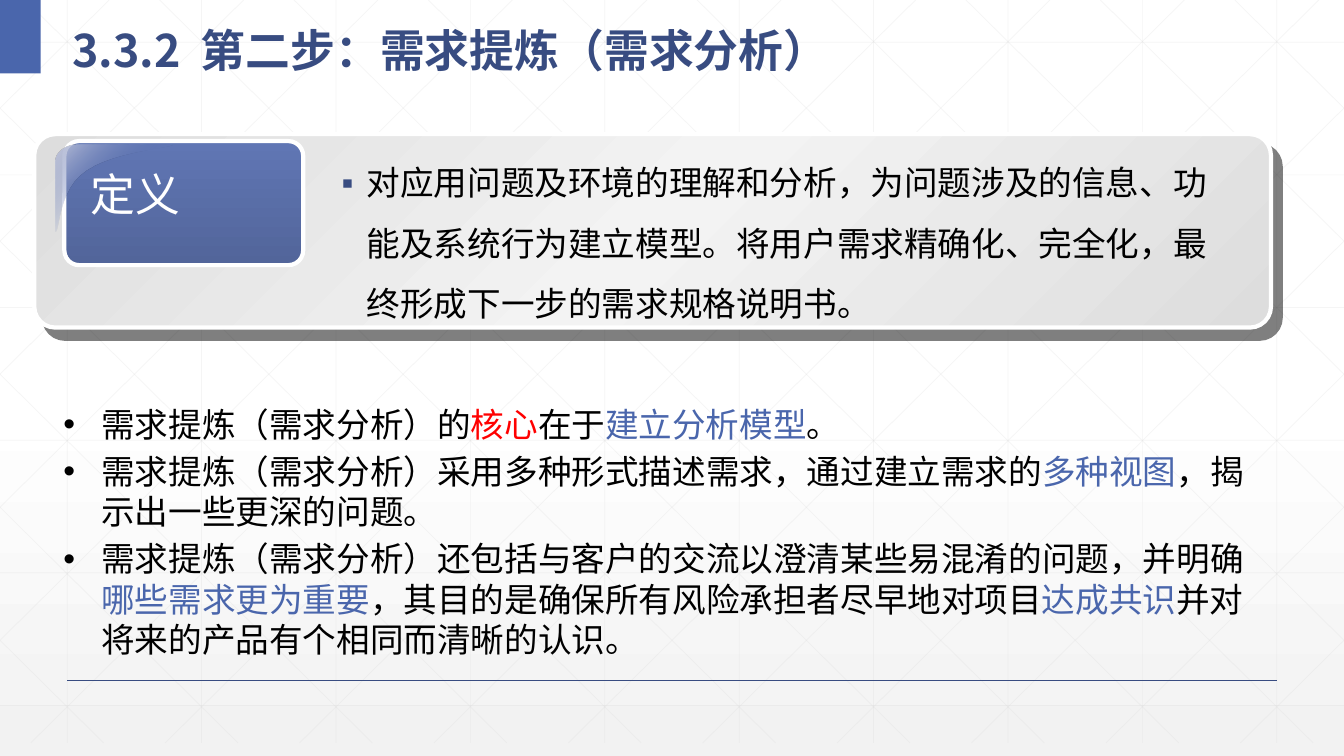
from dataclasses import dataclass

from lxml.etree import SubElement
from pptx import Presentation
from pptx.dml.color import RGBColor
from pptx.enum.shapes import MSO_CONNECTOR, MSO_SHAPE
from pptx.enum.text import MSO_ANCHOR
from pptx.oxml.ns import qn
from pptx.util import Pt


@dataclass(frozen=True)
class Theme:
    font: str = "Noto Sans CJK SC"
    label_font: str = "Arial"
    navy: str = "384C81"
    blue: str = "4A66AC"
    red: str = "FF0000"
    black: str = "000000"
    white: str = "FFFFFF"
    grid: str = "D9D9D9"
    page: tuple = ((0, "FFFFFF", 100), (53, "FFFFFF", 100), (100, "F2F2F2", 65))
    panel: tuple = ((0, "DDDDDD", 100), (50, "F3F3F3", 100), (100, "DDDDDD", 100))
    badge: tuple = ((0, "6076B4", 100), (100, "52659A", 100))
    gloss: tuple = ((0, "BFC4DA", 100), (50, "6076B4", 0), (100, "BFC4DA", 100))
    heading_size: int = 32
    body_size: int = 24


WIDTH, HEIGHT = 960, 540


def add_color(parent, color, alpha):
    node = SubElement(parent, qn("a:srgbClr"), val=color)
    SubElement(node, qn("a:alpha"), val=str(alpha * 1000))


def add_shadow(parent, distance, angle, alpha):
    effects = parent.find(qn("a:effectLst"))
    if effects is None:
        effects = SubElement(parent, qn("a:effectLst"))
    shadow = SubElement(effects, qn("a:outerShdw"), blurRad="0", dist=str(Pt(distance)),
                        dir=str(angle * 60000), algn="ctr", rotWithShape="0")
    add_color(shadow, Theme.black, alpha)


def curve(start, control_1, control_2, end, steps=12):
    """Return points along a cubic Bezier curve, without its start."""
    points = []
    for step in range(1, steps + 1):
        t = step / steps
        weights = ((1 - t) ** 3, 3 * t * (1 - t) ** 2, 3 * t * t * (1 - t), t ** 3)
        points.append(tuple(
            sum(weight * value for weight, value in zip(weights, values))
            for values in zip(start, control_1, control_2, end)))
    return points


class SlideBuilder:
    def __init__(self, slide, theme):
        self.slide = slide
        self.theme = theme

    def gradient(self, owner, element, stops, angle):
        owner.fill.gradient()
        gradient = element.find(".//" + qn("a:gradFill"))
        stop_list = gradient.find(qn("a:gsLst"))
        for stop in list(stop_list):
            stop_list.remove(stop)
        for position, color, alpha in stops:
            add_color(SubElement(stop_list, qn("a:gs"), pos=str(position * 1000)), color, alpha)
        gradient.find(qn("a:lin")).set("ang", str(angle * 60000))

    def background(self, stops, angle):
        self.gradient(self.slide.background, self.slide.element, stops, angle)

    def line(self, start, end, color, width, alpha=100):
        connector = self.slide.shapes.add_connector(
            MSO_CONNECTOR.STRAIGHT, *(Pt(value) for value in (*start, *end)))
        connector.line.width = Pt(width)
        connector.line.color.rgb = RGBColor.from_string(color)
        properties = connector.element.spPr
        color_node = properties.find(".//" + qn("a:srgbClr"))
        SubElement(color_node, qn("a:alpha"), val=str(alpha * 1000))
        SubElement(properties, qn("a:effectLst"))

    def rectangle(self, box, color):
        shape = self.slide.shapes.add_shape(MSO_SHAPE.RECTANGLE, *(Pt(v) for v in box))
        shape.shadow.inherit = False
        shape.fill.solid()
        shape.fill.fore_color.rgb = RGBColor.from_string(color)
        shape.line.fill.background()

    def panel(self, box, corner, stops, angle):
        shape = self.slide.shapes.add_shape(MSO_SHAPE.ROUNDED_RECTANGLE, *(Pt(v) for v in box))
        shape.adjustments[0] = corner
        shape.shadow.inherit = False
        self.gradient(shape, shape.element, stops, angle)
        shape.line.color.rgb = RGBColor.from_string(self.theme.white)
        shape.line.width = Pt(3)
        return shape

    def outline(self, points, stops, angle):
        start, *rest = [(Pt(x), Pt(y)) for x, y in points]
        builder = self.slide.shapes.build_freeform(*start)
        builder.add_line_segments(rest, close=True)
        shape = builder.convert_to_shape()
        shape.shadow.inherit = False
        self.gradient(shape, shape.element, stops, angle)
        shape.line.fill.background()

    def text(self, box, paragraphs, size, leading, anchor=MSO_ANCHOR.TOP,
             after=0, bullet=None, bullet_color=None, indent=0, **style):
        """Each paragraph is a list of (text, colour) runs; leading is an exact line height."""
        frame = self.slide.shapes.add_textbox(*(Pt(v) for v in box)).text_frame
        frame.word_wrap = True
        frame.vertical_anchor = anchor
        for index, runs in enumerate(paragraphs):
            paragraph = frame.add_paragraph() if index else frame.paragraphs[0]
            paragraph.line_spacing = Pt(leading)
            paragraph.space_before = Pt(0)
            paragraph.space_after = Pt(after)
            if bullet:
                self.bullet(paragraph, bullet, bullet_color, indent)
            for text, color in runs:
                self.run(paragraph, text, color, size, **style)
        return frame

    def bullet(self, paragraph, symbol, color, indent):
        properties = paragraph._p.get_or_add_pPr()
        properties.set("marL", str(Pt(indent)))
        properties.set("indent", str(-Pt(indent)))
        add_color(SubElement(properties, qn("a:buClr")), color, 100)
        SubElement(properties, qn("a:buFont"), typeface="Arial")
        SubElement(properties, qn("a:buChar"), char=symbol)

    def run(self, paragraph, text, color, size, bold=False, shadow=False, font=None):
        run = paragraph.add_run()
        run.text = text
        run.font.size = Pt(size)
        run.font.bold = bold
        run.font.color.rgb = RGBColor.from_string(color)
        properties = run._r.get_or_add_rPr()
        if shadow:
            add_shadow(properties, 2.5, 45, 100)
        run.font.name = font or self.theme.font
        SubElement(properties, qn("a:ea"), typeface=self.theme.font)

    def grid(self):
        """Draw the faint lattice: upright, level and mirrored slanting lines."""
        style = (self.theme.grid, 0.5, 25)
        step, bottom, slope = 96, 530.6, 0.99
        for column in range(10):
            x = 48 + step * column
            self.line((x, 0), (x, bottom), *style)
        for row in range(6):
            y = 30.2 + 94.75 * row
            self.line((0, y), (WIDTH, y), *style)
        for column in range(-5, 10):
            x = 18 + step * column
            left = max(x, 0)
            right = min(x + bottom / slope, WIDTH)
            top_y, bottom_y = (left - x) * slope, (right - x) * slope
            self.line((left, top_y), (right, bottom_y), *style)
            self.line((WIDTH - left, top_y), (WIDTH - right, bottom_y), *style)


def main():
    presentation = Presentation()
    presentation.slide_width, presentation.slide_height = Pt(WIDTH), Pt(HEIGHT)
    theme = Theme()
    builder = SlideBuilder(presentation.slides.add_slide(presentation.slide_layouts[6]), theme)

    builder.background(theme.page, 90)
    builder.grid()
    builder.line((48, 486), (912, 486), theme.navy, 1)
    builder.rectangle((0, 0, 29, 52.5), theme.blue)
    title = builder.text((44.6, 0, 607, 58.3),
                         [[("3.3.2", theme.navy), (" ", theme.navy),
                           ("第二步：需求提炼（需求分析）", theme.navy)]],
                         theme.heading_size, 48, MSO_ANCHOR.BOTTOM, bold=True)
    title.paragraphs[0].runs[1]._r.rPr.set("spc", "700")

    definition = builder.panel((24.5, 95.8, 883.4, 138.2), 0.109, theme.panel, 45)
    add_shadow(definition.element.spPr, 10.6, 49, 50)
    builder.panel((46, 100.8, 170.6, 88.6), 0.119, theme.badge, 90)
    corner, side, middle, tip = (56.2, 103), (39.6, 115.2), (61.9, 121.7), (123.1, 103)
    builder.outline(
        [corner, *curve(corner, (46.8, 103), (39.6, 108.7), side), (39.6, 165.6),
         *curve((39.6, 165.6), (43.2, 166.3), (41, 135.4), middle),
         *curve(middle, (83.5, 107.3), (124.6, 105.8), tip)],
        theme.gloss, 45)
    builder.text((57.6, 115.6, 147.6, 45.6), [[("定义", theme.white)]],
                 theme.heading_size, 38.4, shadow=True, font=theme.label_font)
    builder.text((236.9, 98, 649.4, 133.2),
                 [[("对应用问题及环境的理解和分析，为问题涉及的信息、功能及系统行为建立模型。"
                    "将用户需求精确化、完全化，最终形成下一步的需求规格说明书。", theme.black)]],
                 theme.body_size, 43.2, bullet="▪", bullet_color=theme.navy, indent=18)

    points = [
        [("需求提炼（需求分析）的", theme.black), ("核心", theme.red), ("在于", theme.black),
         ("建立分析模型", theme.blue), ("。", theme.black)],
        [("需求提炼（需求分析）采用多种形式描述需求，通过建立需求的", theme.black),
         ("多种视图", theme.blue), ("，揭示出一些更深的问题。", theme.black)],
        [("需求提炼（需求分析）还包括与客户的交流以澄清某些易混淆的问题，并明确", theme.black),
         ("哪些需求更为重要", theme.blue),
         ("，其目的是确保所有风险承担者尽早地对项目", theme.black),
         ("达成共识", theme.blue), ("并对将来的产品有个相同而清晰的认识。", theme.black)],
    ]
    builder.text((38.2, 285, 877, 215.3), points, theme.body_size, 28.8, after=4.8,
                 bullet="•", bullet_color=theme.black, indent=27)
    presentation.save("out.pptx")


if __name__ == "__main__":
    main()
